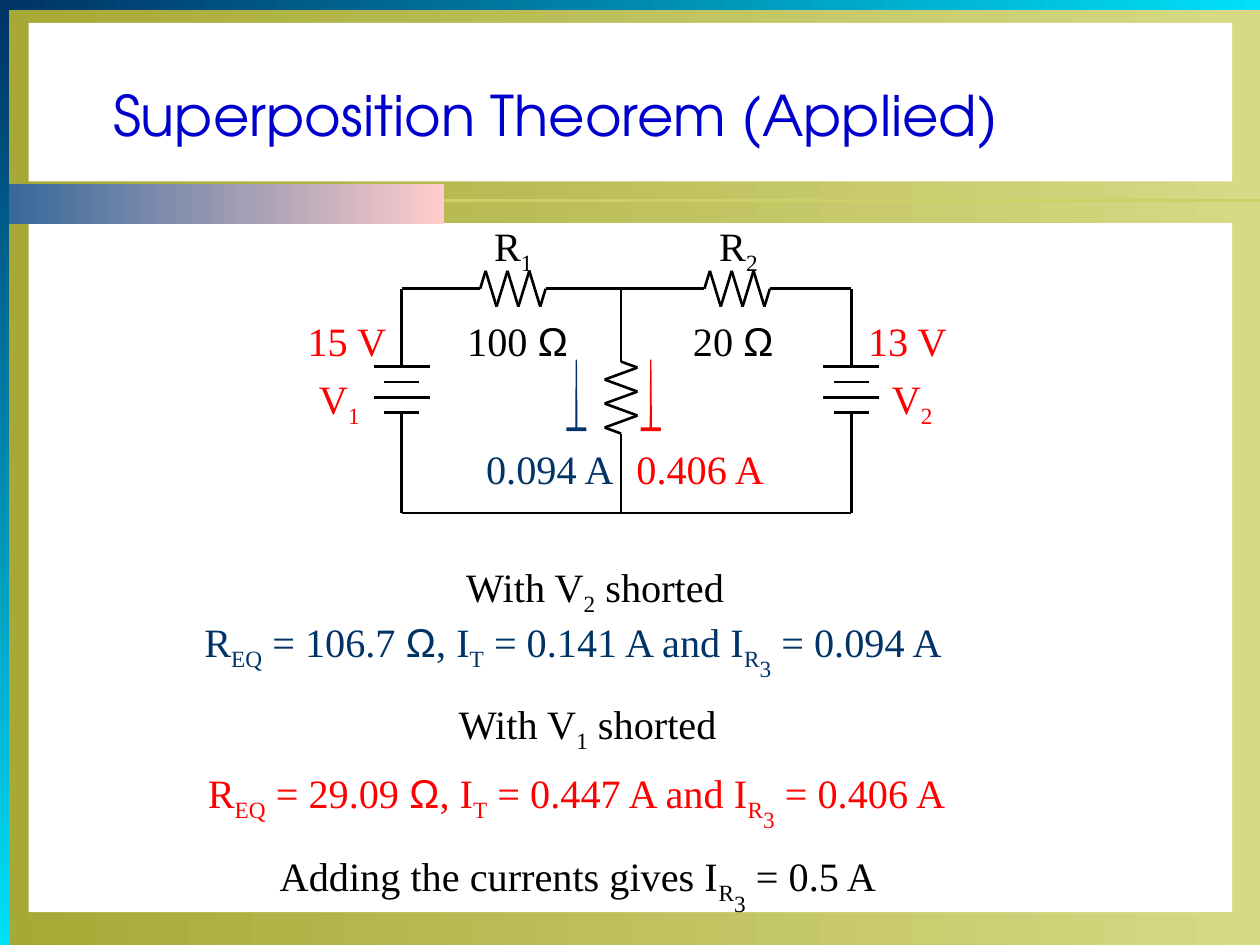
import pptx
import pptx.util
import pptx.dml.color
import pptx.enum.shapes
import pptx.oxml.ns
import lxml.etree

Cm = pptx.util.Cm
Pt = pptx.util.Pt
RGB = pptx.dml.color.RGBColor
SHAPE = pptx.enum.shapes.MSO_SHAPE
LINE = pptx.enum.shapes.MSO_CONNECTOR.STRAIGHT

OLIVE = RGB(0xA6, 0xA9, 0x35)
STRAW = RGB(0xD7, 0xD9, 0x85)
RULE = RGB(0xCD, 0xD0, 0x66)
NAVY = RGB(0x00, 0x33, 0x66)
CYAN = RGB(0x00, 0xE0, 0xF8)
STEEL = RGB(0x33, 0x66, 0x99)
PINK = RGB(0xFF, 0xCC, 0xCC)
WHITE = RGB(0xFF, 0xFF, 0xFF)
BLACK = RGB(0x00, 0x00, 0x00)
RED = RGB(0xFF, 0x00, 0x00)
BLUE = RGB(0x00, 0x00, 0xCC)

SERIF = "Times New Roman"
SANS = "Arial"
HEAD = "TeX Gyre Adventor"
SUB, DEEP = -25000, -50000  # subscript, subscript of a subscript


def add_rect(slide, x, y, w, h, first, last=None, angle=0):
    """Plain rectangle, or one that fades from first to last."""
    rect = slide.shapes.add_shape(SHAPE.RECTANGLE, Cm(x), Cm(y), Cm(w), Cm(h))
    rect.shadow.inherit = False
    rect.line.fill.background()
    if last is None:
        rect.fill.solid()
        rect.fill.fore_color.rgb = first
        return
    rect.fill.gradient()
    rect.fill.gradient_angle = angle
    for stop, color in zip(rect.fill.gradient_stops, (first, last)):
        stop.color.rgb = color


def add_line(slide, x1, y1, x2, y2, color=BLACK):
    line = slide.shapes.add_connector(LINE, Cm(x1), Cm(y1), Cm(x2), Cm(y2))
    line.line.color.rgb = color
    line.line.width = Pt(1.5)
    props = line._element.spPr
    lxml.etree.SubElement(props, pptx.oxml.ns.qn("a:effectLst"))


def add_text(slide, x, y, w, h, runs, color, font=SERIF, size=23,
             side=0.28, wrap=False):
    """Text box; a run is a string or a (string, baseline) pair."""
    box = slide.shapes.add_textbox(Cm(x), Cm(y), Cm(w), Cm(h))
    frame = box.text_frame
    frame.word_wrap = wrap
    frame.margin_left = frame.margin_right = Cm(side)
    frame.margin_top = frame.margin_bottom = Cm(0.15)
    for item in runs:
        text, base = item if isinstance(item, tuple) else (item, 0)
        run = frame.paragraphs[0].add_run()
        run.text = text
        run.font.name = SANS if text == "Ω" else font
        run.font.size = Pt(size)
        run.font.color.rgb = color
        if base:
            run.font._element.set("baseline", str(base))


def draw_frame(slide, w, h):
    """Olive border, white panels and coloured bars."""
    add_rect(slide, 0, 0, w, h, OLIVE, STRAW)
    add_rect(slide, 0.58, 4.5, w - 1.14, 13.89, WHITE)
    add_rect(slide, 0, 0, w, 0.2, NAVY, CYAN)
    add_line(slide, 0, 4.04, w, 4.04, RULE)
    add_rect(slide, 0.03, 3.71, 8.92, 0.81, STEEL, PINK)
    add_rect(slide, 0, 0, 0.18, h, NAVY, CYAN, 270)
    add_rect(slide, 0.58, 0.46, w - 1.14, 3.2, WHITE)


def draw_title(slide, x, y, w, h):
    add_text(slide, x, y, w, h, ["Superposition Theorem (Applied)"], BLUE,
             HEAD, 32, side=0.55, wrap=True)


def draw_coil(slide, x, y, size, upright=False):
    """Resistor zigzag with six peaks, starting at x, y."""
    swing = 0.33 if upright else -0.36
    ends = [(0, 0)]
    ends += [((i + 0.5) * size / 6, swing * (-1) ** i) for i in range(6)]
    ends += [(size, 0)]
    if upright:
        ends = [(b, a) for a, b in ends]
    for (a, b), (c, d) in zip(ends, ends[1:]):
        add_line(slide, x + a, y + b, x + c, y + d)


def draw_cell(slide, x, y, gap):
    """Battery: long and short plates in turn, centred on x."""
    for i, half in enumerate((0.56, 0.35, 0.56, 0.35)):
        add_line(slide, x - half, y + i * gap, x + half, y + i * gap)


def draw_mark(slide, x, y, w, h, color):
    """Thin stem on a flat foot that marks a current."""
    mid, foot = w / 2, h - 0.05
    ends = [(mid - 0.01, h), (mid, 0), (mid + 0.01, h), (0, h),
            (0, foot), (w, foot), (w, h)]
    ends = [(Cm(x + a), Cm(y + b)) for a, b in ends]
    form = slide.shapes.build_freeform(*ends[0])
    form.add_line_segments(ends[1:], close=True)
    mark = form.convert_to_shape()
    mark.shadow.inherit = False
    mark.fill.solid()
    mark.fill.fore_color.rgb = color
    mark.line.color.rgb = color
    mark.line.width = Pt(0.75)


def draw_circuit(slide, x, y, w, h):
    """Two sources, two series resistors and a shared middle one."""
    mid, coil = 4.42, 1.32
    one, two = 1.58, 6.1  # starts of R1 and R2
    cell, gap = 1.57, 0.31
    drop, tall = 1.47, 1.45

    # Sources and resistors
    for left in (0, w):
        draw_cell(slide, x + left, y + cell, gap)
    for left in (one, two):
        draw_coil(slide, x + left, y, coil)
    draw_coil(slide, x + mid, y + drop, tall, upright=True)

    # Wires
    wires = [(0, 0, one, 0), (one + coil, 0, two, 0), (two + coil, 0, w, 0),
             (0, h, w, h), (mid, 0, mid, drop), (mid, drop + tall, mid, h)]
    for left in (0, w):
        wires += [(left, 0, left, cell), (left, cell + 3 * gap, left, h)]
    for a, b, c, d in wires:
        add_line(slide, x + a, y + b, x + c, y + d)

    # Names and values
    labels = [
        (1.58, -1.5, 1.35, 1.4, ["R", ("1", SUB)], BLACK),
        (6.12, -1.5, 1.35, 1.4, ["R", ("2", SUB)], BLACK),
        (-1.95, 1.57, 1.4, 1.4, ["V", ("1", SUB)], RED),
        (9.6, 1.57, 1.4, 1.4, ["V", ("2", SUB)], RED),
        (1.04, 0.4, 2.62, 1.24, ["100 ", "Ω"], BLACK),
        (5.59, 0.4, 2.21, 1.24, ["20 ", "Ω"], BLACK),
        (-2.18, 0.4, 2.16, 1.24, ["15 V"], RED),
        (9.12, 0.4, 2.16, 1.24, ["13 V"], RED),
        (1.42, 2.99, 3.15, 1.24, ["0.094 A"], NAVY),
        (4.45, 2.99, 3.15, 1.24, ["0.406 A"], RED),
    ]
    for a, b, wide, high, runs, color in labels:
        add_text(slide, x + a, y + b, wide, high, runs, color)

    # Current marks
    for left, color in ((3.33, NAVY), (4.83, RED)):
        draw_mark(slide, x + left, y + 1.44, 0.38, 1.42, color)


def draw_notes(slide, x, y, w):
    """Results with each source shorted, and their sum."""
    def short(name):
        return ["With V", (name, SUB), " shorted"]

    def result(ohms, total, part):
        return ["R", ("EQ", SUB), f" = {ohms} ", "Ω", ", I", ("T", SUB),
                f" = {total} A and I", ("R", SUB), ("3", DEEP),
                f" = {part} A"]

    gains = ["Adding the currents gives I", ("R", SUB), ("3", DEEP),
             " = 0.5 A"]
    rows = [
        (5.28, 0, 5.77, 1.4, short("2"), BLACK),
        (0, 1.11, w, 1.6, result("106.7", "0.141", "0.094"), NAVY),
        (5.13, 2.76, 5.77, 1.4, short("1"), BLACK),
        (0.07, 4.16, w, 1.6, result("29.09", "0.447", "0.406"), RED),
        (1.52, 5.84, 12.6, 1.6, gains, BLACK),
    ]
    for a, b, wide, high, runs, color in rows:
        add_text(slide, x + a, y + b, wide, high, runs, color)


def main():
    deck = pptx.Presentation()
    deck.slide_width, deck.slide_height = Cm(25.4), Cm(19.05)
    slide = deck.slides.add_slide(deck.slide_layouts[6])
    draw_frame(slide, 25.4, 19.05)
    draw_title(slide, 1.73, 1.47, 22.45, 1.63)
    draw_circuit(slide, 8.1, 5.82, 9.06, 4.52)
    draw_notes(slide, 3.84, 11.18, 15.62)
    deck.save("out.pptx")


if __name__ == "__main__":
    main()
